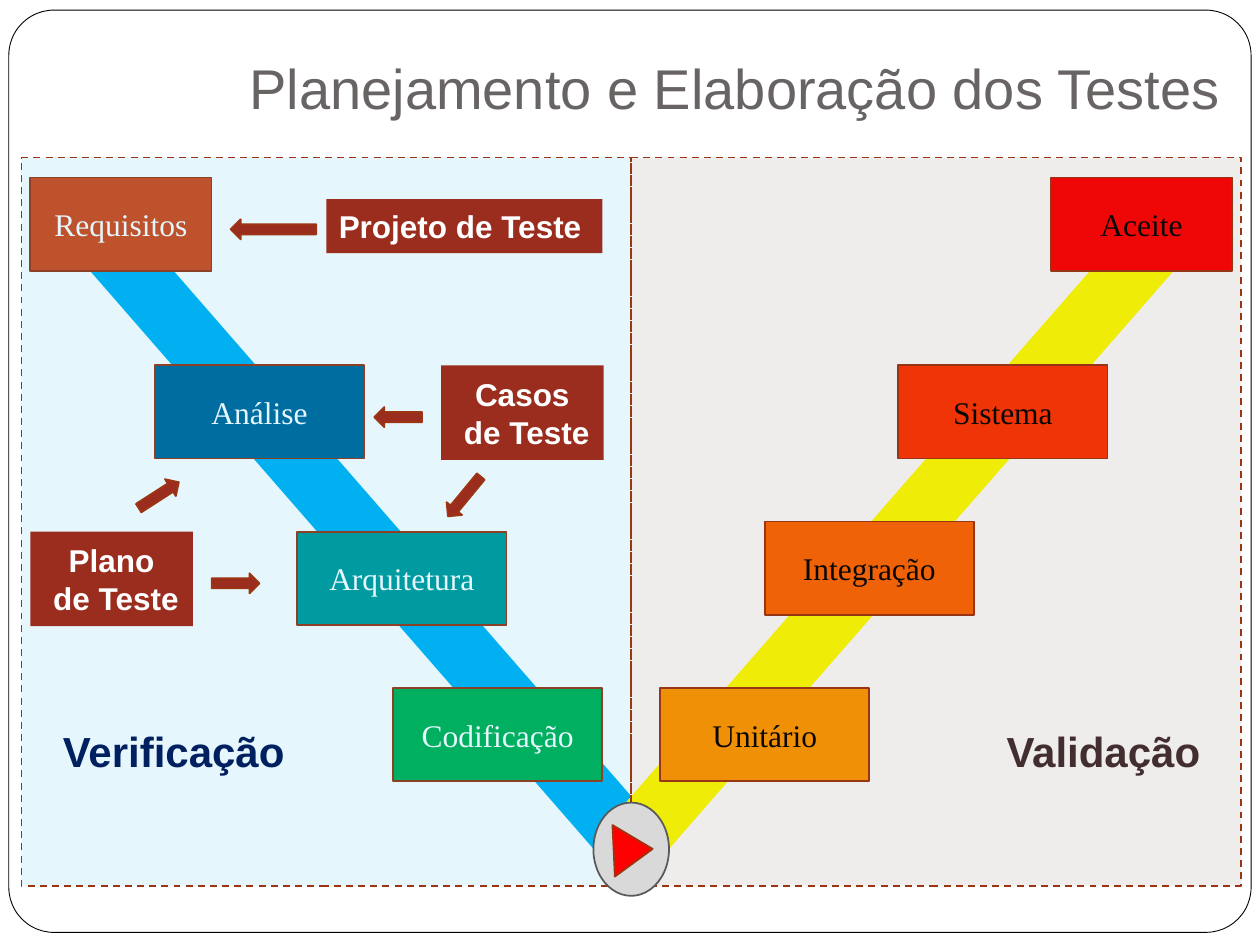
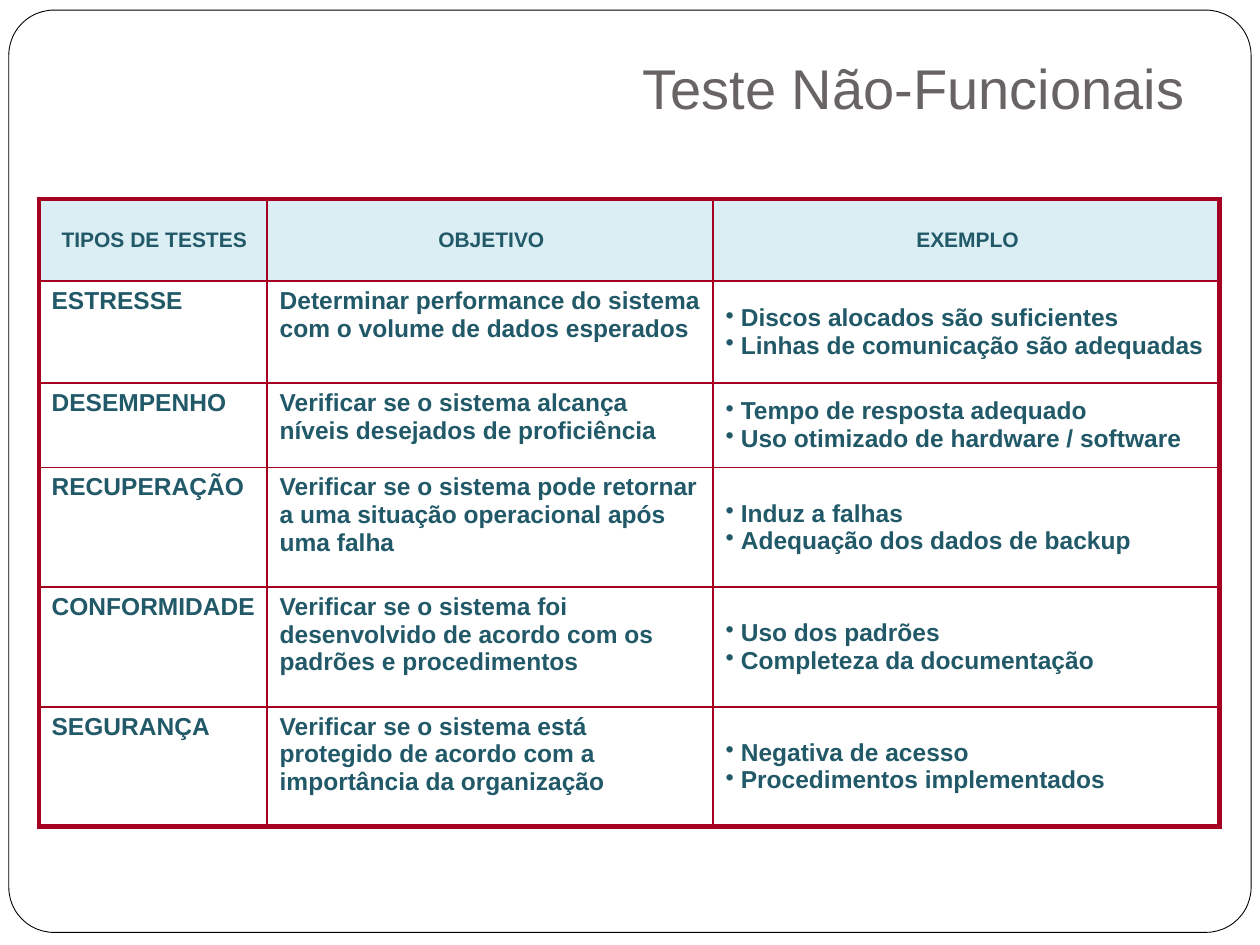
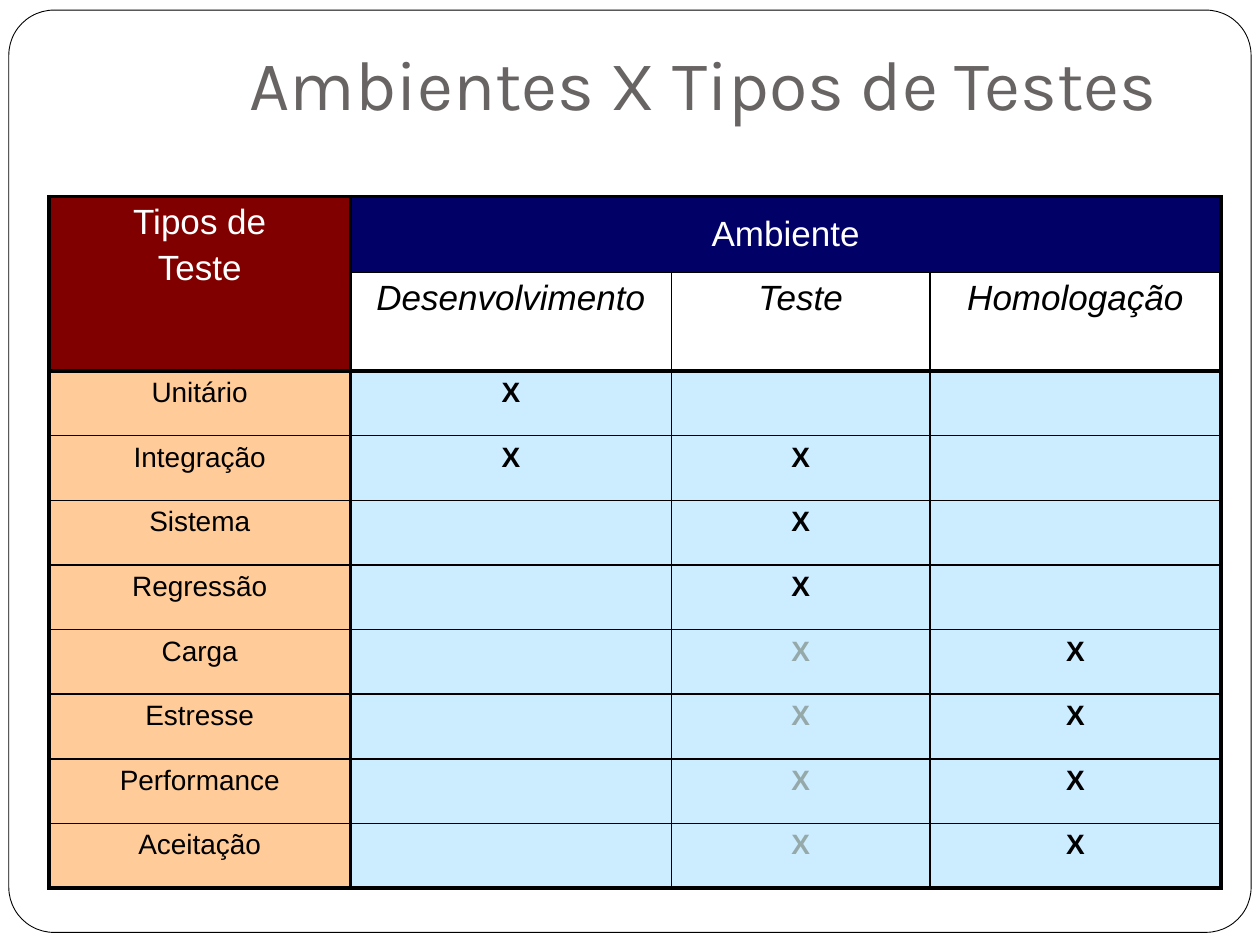
from copy import deepcopy
from dataclasses import dataclass

from lxml import etree
from pptx import Presentation
from pptx.dml.color import RGBColor
from pptx.enum.dml import MSO_LINE
from pptx.enum.shapes import MSO_CONNECTOR, MSO_SHAPE
from pptx.enum.text import MSO_ANCHOR, MSO_AUTO_SIZE, PP_ALIGN
from pptx.oxml.ns import qn
from pptx.util import Inches, Pt

LEFT, CENTER = PP_ALIGN.LEFT, PP_ALIGN.CENTER
TOP, MIDDLE, BOTTOM = MSO_ANCHOR.TOP, MSO_ANCHOR.MIDDLE, MSO_ANCHOR.BOTTOM
RECT, ARROW = MSO_SHAPE.RECTANGLE, MSO_SHAPE.RIGHT_ARROW


@dataclass(frozen=True)
class Theme:
    sans: str = "Arial"
    serif: str = "Times New Roman"
    display: str = "Karla"
    white: str = "FFFFFF"
    black: str = "000000"
    title: str = "696464"
    outline: str = "9C3511"
    label: str = "9B2D1F"
    crimson: str = "A50021"
    teal: str = "215968"
    ice: str = "DBEEF4"
    maroon: str = "800000"
    navy: str = "000066"
    peach: str = "FFCC99"
    sky: str = "CCECFF"
    faded: str = "96A9A9"
    title_size: int = 32
    display_size: int = 40
    phase_size: int = 24
    header_size: int = 20
    body_size: int = 18
    mark_size: int = 16
    cell_size: int = 14
    small_size: int = 12


T = Theme()

prs = Presentation()
prs.slide_width, prs.slide_height = Inches(10), Inches(7.5)
UNIT = prs.slide_width / 100  # the slide is a grid of 100 columns by 75 rows


def write(frame, text, *, size=T.body_size, color=T.black, font=T.sans, bold=False,
          italic=False, align=LEFT, anchor=TOP, bullet=None, before=0):
    """Fill a text frame, one paragraph per line of text; before is the gap between them."""
    frame.word_wrap = True
    frame.vertical_anchor = anchor
    for index, line in enumerate(text.split("\n")):
        paragraph = frame.add_paragraph() if index else frame.paragraphs[0]
        paragraph.text = line
        paragraph.alignment = align
        if index and before:
            paragraph.space_before = Pt(before)
        if bullet:
            properties = paragraph._p.get_or_add_pPr()
            properties.set("marL", str(Inches(0.12)))
            properties.set("indent", str(-Inches(0.12)))
            etree.SubElement(properties, qn("a:buChar")).set("char", bullet)
        for run in paragraph.runs:
            run.font.name, run.font.size = font, Pt(size)
            run.font.bold, run.font.italic = bold, italic
            run.font.color.rgb = RGBColor.from_string(color)
        for line_break in paragraph._p.findall(qn("a:br")):
            line_break.append(deepcopy(paragraph.runs[0]._r.get_or_add_rPr()))


def draw(slide, kind, box, fill, line=T.outline, width=1, rotation=0):
    """Add a preset shape whose box is given in grid units."""
    shape = slide.shapes.add_shape(kind, *(round(n * UNIT) for n in box))
    shape.shadow.inherit = False
    shape.rotation = rotation
    shape.fill.solid()
    shape.fill.fore_color.rgb = RGBColor.from_string(fill)
    if line:
        shape.line.color.rgb = RGBColor.from_string(line)
        shape.line.width = Pt(width)
    else:
        shape.line.fill.background()
    return shape


# Shared titles and rounded frame
title_only = prs.slide_layouts[5]
text_title = dict(size=T.title_size, color=T.title, anchor=MIDDLE)
display_title = dict(size=T.display_size, color=T.title, font=T.display, anchor=BOTTOM)
titles = [
    ("Planejamento e Elaboração dos Testes", (18.8, 3.7, 79.7, 6.4), text_title),
    ("Teste Não-Funcionais", (50, 3.7, 46.9, 6.4), text_title),
    ("Ambientes X Tipos de Testes", (18.8, 3.1, 78.9, 7.8), display_title),
]
slides = []
for heading, box, style in titles:
    slide = prs.slides.add_slide(title_only)
    title = slide.shapes.title
    title.left, title.top, title.width, title.height = (round(n * UNIT) for n in box)
    title.text_frame.auto_size = MSO_AUTO_SIZE.NONE
    write(title.text_frame, heading, **style)
    slides.append(slide)
slides[2].shapes.title.text_frame.margin_bottom = Inches(0.1)

frame = draw(slides[0], MSO_SHAPE.ROUNDED_RECTANGLE, (0.7, 0.8, 98.6, 73.2),
             T.white, T.black, 0.5)
frame.adjustments[0] = 0.049
title_only.shapes.element.insert(2, frame.element)

# Slide 1: the V model
v_model = slides[0]
axis = 50.1
for outer_end, color in [(5.5, "00B0F0"), (94.8, "FFFF00")]:
    ends = (outer_end, 15.8, axis, 67)
    arm = v_model.shapes.add_connector(MSO_CONNECTOR.STRAIGHT,
                                       *(round(n * UNIT) for n in ends))
    arm.line.color.rgb = RGBColor.from_string(color)
    arm.line.width = Pt(36)
    etree.SubElement(arm._element.spPr, qn("a:effectLst"))

step_width, step_height = 16.6, 7.4
verification = [
    ("Requisitos", 2.4, 14.1, 14.4, "D34817"),
    ("Análise", 12.3, 29, step_width, "006699"),
    ("Arquitetura", 23.6, 42.2, step_width, "009999"),
    ("Codificação", 31.2, 54.6, step_width, "00B050"),
]
validation = [
    ("Aceite", 83.4, 14.1, 14.4, "FF0000"),
    ("Sistema", 71.3, 29, step_width, "FF3300"),
    ("Integração", 60.7, 41.4, step_width, "FF6600"),
    ("Unitário", 52.4, 54.6, step_width, "FF9900"),
]
for steps, text_color in [(verification, T.white), (validation, T.black)]:
    for step, left, top, width, fill in steps:
        box = draw(v_model, RECT, (left, top, width, step_height), fill)
        write(box.text_frame, step, color=text_color, font=T.serif,
              align=CENTER, anchor=MIDDLE)

half = 48.4
for left, tint in [(axis - half, "00B0F0"), (axis, "644646")]:
    panel = draw(v_model, RECT, (left, 12.5, half, 57.8), tint)
    panel.line.dash_style = MSO_LINE.DASH
    tint_color = panel._element.spPr.find(qn("a:solidFill")).find(qn("a:srgbClr"))
    etree.SubElement(tint_color, qn("a:alpha")).set("val", "10000")

draw(v_model, MSO_SHAPE.OVAL, (47.1, 63.7, 6, 7.4), "D9D9D9", "595959")
draw(v_model, MSO_SHAPE.ISOSCELES_TRIANGLE, (48.2, 65.9, 4.1, 3.1), "FF0000", rotation=87.3)

for phase, left, width, color in [("Validação", 78.9, 17.4, "422E2E"),
                                  ("Verificação", 4, 20.4, "002060")]:
    caption = v_model.shapes.add_textbox(
        *(round(n * UNIT) for n in (left, 57.1, width, 5.3)))
    write(caption.text_frame, phase, size=T.phase_size, color=color, bold=True)

for artifact, box, align in [
    ("Projeto de Teste", (25.9, 15.8, 21.9, 4.3), LEFT),
    ("Casos\v de Teste", (35, 29, 12.9, 7.5), CENTER),
    ("Plano\v de Teste", (2.4, 42.2, 12.9, 7.5), CENTER),
]:
    label = draw(v_model, RECT, box, T.label, line=None)
    write(label.text_frame, artifact, color=T.white, bold=True, align=align, anchor=MIDDLE)

for left, top, length, rotation in [
    (18.3, 17.4, 6.8, 180),
    (29.7, 32.3, 3.8, 180),
    (34.8, 38.6, 4.1, 129.5),
    (16.8, 45.5, 3.8, 0),
    (10.7, 38.5, 3.8, 327.2),
]:
    draw(v_model, ARROW, (left, top, length, 1.6), T.label, rotation=rotation)

# Slide 2: non-functional tests
kinds = [
    ("TIPOS DE TESTES", "OBJETIVO", "EXEMPLO"),
    ("ESTRESSE", "Determinar performance do sistema com o volume de dados esperados",
     "Discos alocados são suficientes\nLinhas de comunicação são adequadas"),
    ("DESEMPENHO", "Verificar se o sistema alcança\vníveis desejados de proficiência",
     "Tempo de resposta adequado\nUso otimizado de hardware / software"),
    ("RECUPERAÇÃO",
     "Verificar se o sistema pode retornar a uma situação operacional após uma falha",
     "Induz a falhas\nAdequação dos dados de backup"),
    ("CONFORMIDADE",
     "Verificar se o sistema foi desenvolvido de acordo com os padrões e procedimentos",
     "Uso dos padrões\nCompleteza da documentação"),
    ("SEGURANÇA",
     "Verificar se o sistema está protegido de acordo com a importância da organização",
     "Negativa de acesso\nProcedimentos implementados"),
]
kind_columns = [18.1, 35.4, 40.2]
kind_rows = [6.5, 8.1, 6.7] + [9.5] * 3

# Slide 3: environments by test type
environments = [
    ("Tipos de\nTeste", "Ambiente", "", ""),
    ("", "Desenvolvimento", "Teste", "Homologação"),
    ("Unitário", "X", "", ""),
    ("Integração", "X", "X", ""),
    ("Sistema", "", "X", ""),
    ("Regressão", "", "X", ""),
    ("Carga", "", "X", "X"),
    ("Estresse", "", "X", "X"),
    ("Performance", "", "X", "X"),
    ("Aceitação", "", "X", "X"),
]
environment_columns = [23.9, 25.5, 20.5, 23.1]
environment_rows = [6.05, 7.8] + [5.13] * 8

tables = []
for slide, origin, columns, rows in [
    (slides[1], (3.1, 15.8), kind_columns, kind_rows),
    (slides[2], (3.9, 15.6), environment_columns, environment_rows),
]:
    box = (*origin, sum(columns), sum(rows))
    table = slide.shapes.add_table(len(rows), len(columns),
                                   *(round(n * UNIT) for n in box)).table
    table.first_row = table.horz_banding = False
    for column, width in zip(table.columns, columns):
        column.width = round(width * UNIT)
    for row, height in zip(table.rows, rows):
        row.height = round(height * UNIT)
    tables.append(table)
kind_table, environment_table = tables

for r, entries in enumerate(kinds):
    for c, entry in enumerate(entries):
        cell = kind_table.cell(r, c)
        header, examples = r == 0, r > 0 and c == 2
        cell.fill.solid()
        cell.fill.fore_color.rgb = RGBColor.from_string(T.ice if header else T.white)
        cell.margin_right = Inches(0.08)
        write(cell.text_frame, entry, size=T.small_size if header else T.cell_size,
              color=T.teal, bold=True, align=CENTER if header else LEFT,
              bullet="•" if examples else None)
        cell.vertical_anchor = MIDDLE if header or examples else TOP

environment_table.cell(0, 0).merge(environment_table.cell(1, 0))
environment_table.cell(0, 1).merge(environment_table.cell(0, 3))
for r, entries in enumerate(environments):
    for c, entry in enumerate(entries):
        cell = environment_table.cell(r, c)
        if r < 2:
            fill = T.maroon if c == 0 else (T.navy, T.white)[r]
            style = dict(size=T.header_size, color=(T.white, T.black)[r], italic=r == 1)
        else:
            optional = c == 2 and r >= 6
            fill = T.peach if c == 0 else T.sky
            style = dict(size=T.mark_size, color=T.faded if optional else T.black, bold=c > 0)
        cell.fill.solid()
        cell.fill.fore_color.rgb = RGBColor.from_string(fill)
        if entry:
            write(cell.text_frame, entry, align=CENTER, before=4, **style)
        cell.vertical_anchor = MIDDLE if (r, c) == (0, 1) else TOP

# Table borders: heavy on the listed grid lines, thin elsewhere
for table, color, heavy, heavy_columns, heavy_rows in [
    (kind_table, T.crimson, 3, {0, 3}, {0, 6}),
    (environment_table, T.black, 2.25, {0, 1, 4}, {0, 2, 10}),
]:
    for r in range(len(table.rows)):
        for c in range(len(table.columns)):
            cell = table.cell(r, c)
            merged = cell.is_merge_origin
            right = c + (cell.span_width if merged else 1)
            bottom = r + (cell.span_height if merged else 1)
            sides = [("a:lnL", c in heavy_columns), ("a:lnR", right in heavy_columns),
                     ("a:lnT", r in heavy_rows), ("a:lnB", bottom in heavy_rows)]
            drawn = [side for side in sides if side[1] or not cell.is_spanned]
            properties = cell._tc.get_or_add_tcPr()
            for position, (tag, is_heavy) in enumerate(drawn):
                border = etree.Element(qn(tag), w=str(Pt(heavy if is_heavy else 1)))
                paint = etree.SubElement(border, qn("a:solidFill"))
                etree.SubElement(paint, qn("a:srgbClr")).set("val", color)
                properties.insert(position, border)

prs.save("out.pptx")
